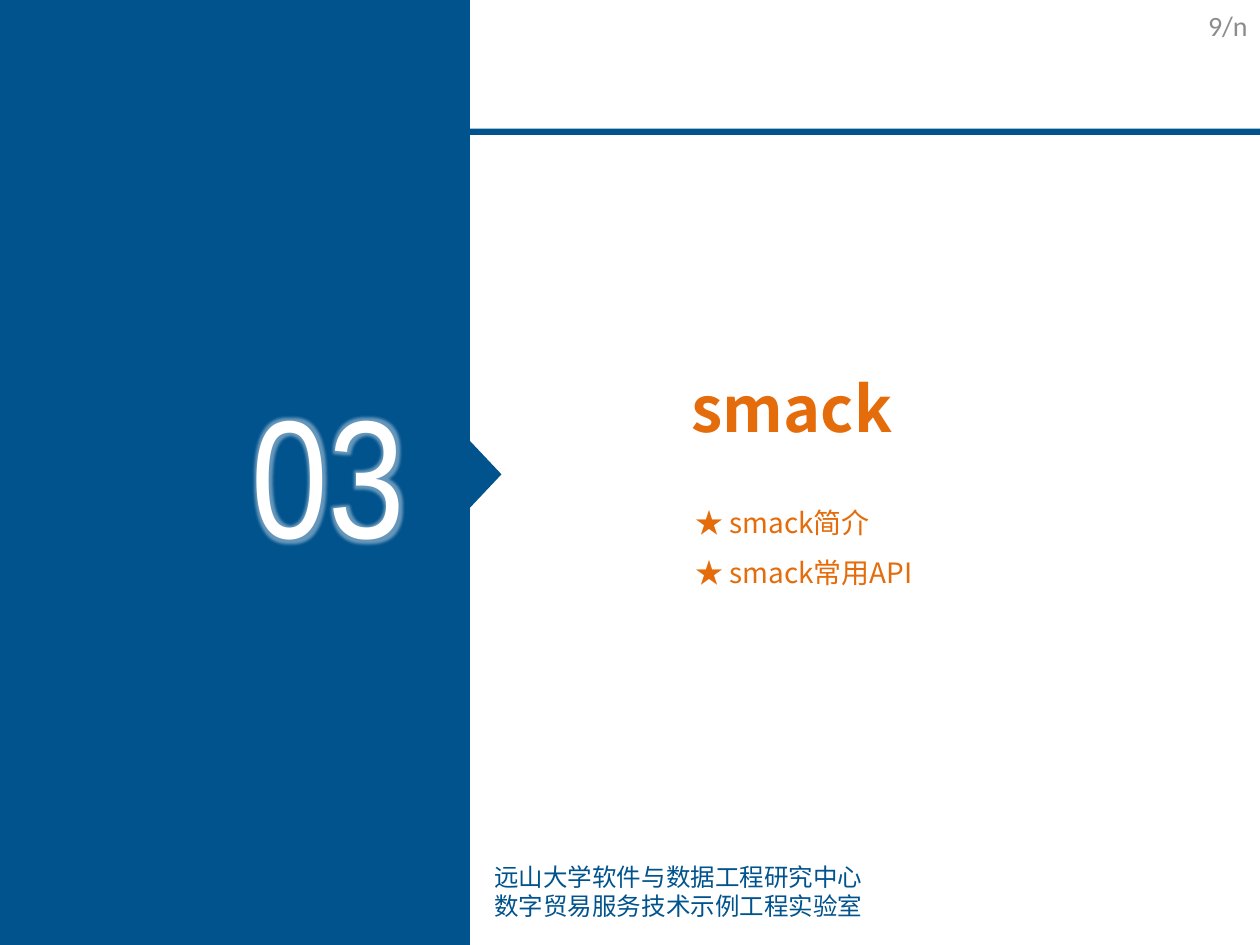
from dataclasses import dataclass

from lxml import etree
from pptx import Presentation
from pptx.dml.color import RGBColor
from pptx.enum.shapes import MSO_SHAPE
from pptx.enum.text import MSO_ANCHOR, PP_ALIGN
from pptx.oxml.ns import qn
from pptx.util import Inches, Pt

RECTANGLE, TRIANGLE = MSO_SHAPE.RECTANGLE, MSO_SHAPE.ISOSCELES_TRIANGLE
TOP, MIDDLE = MSO_ANCHOR.TOP, MSO_ANCHOR.MIDDLE
LEFT, CENTER, RIGHT = PP_ALIGN.LEFT, PP_ALIGN.CENTER, PP_ALIGN.RIGHT


@dataclass(frozen=True)
class Theme:
    """Colours, fonts and type sizes of the slide."""

    blue: str = "01538E"
    orange: str = "E46C0A"
    white: str = "FFFFFF"
    grey: str = "8C8C8C"
    body_font: str = "Noto Sans CJK SC"
    numeral_font: str = "Arial Narrow"
    page_font: str = "Calibri"
    numeral_size: int = 96
    title_size: int = 36
    text_size: int = 16
    footer_size: int = 14


THEME = Theme()


def set_values(target, values):
    """Set attributes of an object from a dict."""
    for name, value in values.items():
        setattr(target, name, value)


def place(box, bounds):
    """Move and size a box given in inches."""
    set_values(box, dict(zip(("left", "top", "width", "height"), map(Inches, bounds))))


def add_block(page, kind, bounds, rotation=0):
    """Add a plain blue shape."""
    block = page.shapes.add_shape(kind, *map(Inches, bounds))
    block.shadow.inherit = False
    block.fill.solid()
    block.fill.fore_color.rgb = RGBColor.from_string(THEME.blue)
    block.line.fill.background()
    block.rotation = rotation


def write_text(box, lines, font, size, color, bold=False, align=LEFT, anchor=TOP, spacing=1.0):
    """Fill a box with evenly formatted paragraphs."""
    frame = box.text_frame
    set_values(frame, {
        "word_wrap": True, "vertical_anchor": anchor,
        "margin_left": Inches(0.1), "margin_right": Inches(0.1),
        "margin_top": Inches(0.05), "margin_bottom": Inches(0.05),
    })
    frame.text = "\n".join(lines)
    for para in frame.paragraphs:
        set_values(para, {"alignment": align, "line_spacing": spacing})
        for span in para.runs:
            set_values(span.font, {"size": Pt(size), "bold": bold, "name": font})
            span.font.color.rgb = RGBColor.from_string(color)
            latin = span.font._element.find(qn("a:latin"))
            east_asian = etree.Element(qn("a:ea"), typeface=font)
            latin.addnext(east_asian)


def add_text(page, bounds, lines, font, size, color, **layout):
    """Add a text box and return it."""
    box = page.shapes.add_textbox(*map(Inches, bounds))
    write_text(box, lines, font, size, color, **layout)
    return box


def add_glow(box, radius, color, opacity):
    """Put a soft glow around the text of a box."""
    for para in box.text_frame.paragraphs:
        for span in para.runs:
            effects = etree.Element(qn("a:effectLst"))
            glow = etree.SubElement(effects, qn("a:glow"), rad=str(Pt(radius)))
            tint = etree.SubElement(glow, qn("a:srgbClr"), val=color)
            etree.SubElement(tint, qn("a:alpha"), val=str(opacity * 1000))
            span.font._element.find(qn("a:solidFill")).addnext(effects)


def main():
    """Build the section slide and save it."""
    deck = Presentation()
    deck.slide_width, deck.slide_height = Inches(10), Inches(7.5)
    page = deck.slides.add_slide(deck.slide_layouts[5])

    add_block(page, RECTANGLE, (0, 1.02, 10, 0.05))
    add_block(page, RECTANGLE, (0, 0, 3.73, 7.5))
    add_block(page, TRIANGLE, (3.59, 3.64, 0.53, 0.25), rotation=90)

    numeral = add_text(page, (1.9, 2.89, 1.68, 1.72), ["03"],
                       THEME.numeral_font, THEME.numeral_size, THEME.white)
    add_glow(numeral, 5, THEME.white, 40)

    title = page.shapes.title
    place(title, (5.39, 2.88, 4.11, 0.75))
    write_text(title, ["smack"], THEME.body_font, THEME.title_size, THEME.orange, bold=True)

    add_text(page, (5.42, 3.83, 2.67, 1.3), ["★ smack简介", "★ smack常用API"],
             THEME.body_font, THEME.text_size, THEME.orange, spacing=1.5)
    add_text(page, (3.43, 6.79, 3.91, 0.57),
             ["远山大学软件与数据工程研究中心", "数字贸易服务技术示例工程实验室"],
             THEME.body_font, THEME.footer_size, THEME.blue, align=CENTER)
    add_text(page, (7.75, 0, 2.25, 0.4), ["9/n"], THEME.page_font,
             THEME.text_size, THEME.grey, align=RIGHT, anchor=MIDDLE)

    deck.save("out.pptx")


main()
